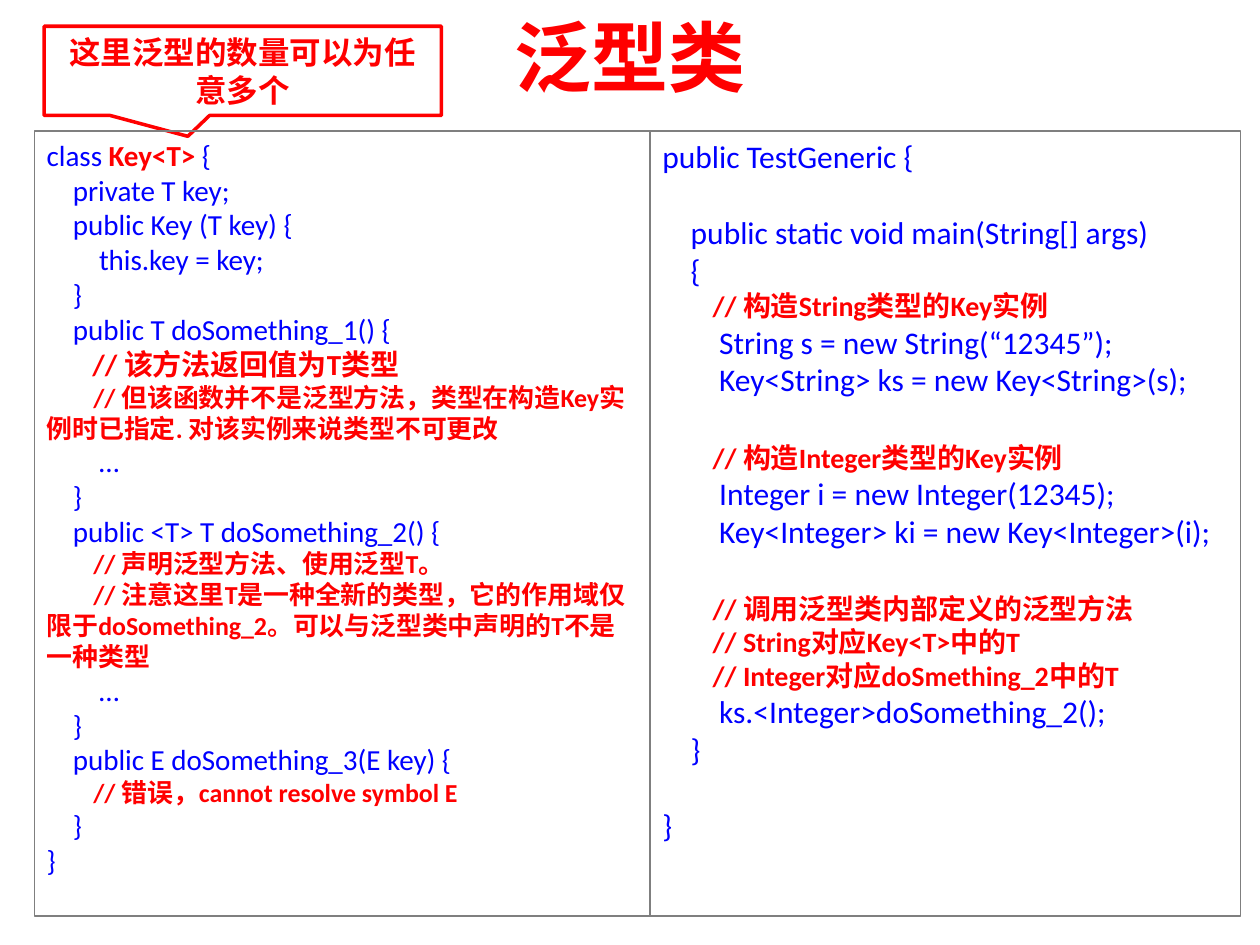
"""Build a slide on Java generic classes with two code panels and a callout."""
from pptx import Presentation
from pptx.dml.color import RGBColor
from pptx.enum.shapes import MSO_SHAPE as Shape
from pptx.enum.text import MSO_ANCHOR as Anchor, MSO_AUTO_SIZE as AutoSize, PP_ALIGN as Align
from pptx.util import Pt

COLORS = {"red": "FF0000", "blue": "0000FF", "gray": "7F7F7F", "white": "FFFFFF"}

KEY_CLASS = """\
class Key<T> {
    private T key;
    public Key (T key) {
        this.key = key;
    }
    public T doSomething_1() {
       // 该方法返回值为T类型
        // 但该函数并不是泛型方法，类型在构造Key实例时已指定. 对该实例来说类型不可更改
        …
    }
    public <T> T doSomething_2() {
        // 声明泛型方法、使用泛型T。
        // 注意这里T是一种全新的类型，它的作用域仅限于doSomething_2。可以与泛型类中声明的T不是一种类型
        …
    }
    public E doSomething_3(E key) {
        // 错误，cannot resolve symbol E
    }
}"""

TEST_CLASS = """\
public TestGeneric {

    public static void main(String[] args)
    {
        // 构造String类型的Key实例
        String s = new String(“12345”);
        Key<String> ks = new Key<String>(s);

        // 构造Integer类型的Key实例
        Integer i = new Integer(12345);
        Key<Integer> ki = new Key<Integer>(i);

        // 调用泛型类内部定义的泛型方法
        // String对应Key<T>中的T
        // Integer对应doSmething_2中的T
        ks.<Integer>doSomething_2();
    }

}"""


def color(name):
    return RGBColor.from_string(COLORS[name])


def write(para, text, size=18, tint="red", bold=True, font="Calibri"):
    span = para.add_run()
    span.text = text
    span.font.name = font
    span.font.size = Pt(size)
    span.font.bold = bold
    span.font.color.rgb = color(tint)


class SlideBuilder:
    def __init__(self, page):
        self.page = page

    def frame(self, shape, anchor):
        text_frame = shape.text_frame
        text_frame.word_wrap = True
        text_frame.auto_size = AutoSize.NONE
        text_frame.vertical_anchor = anchor
        return text_frame

    def title(self, text, left, top, width, height):
        box = self.page.shapes.title
        box.left, box.top, box.width, box.height = map(Pt, (left, top, width, height))
        para = self.frame(box, Anchor.MIDDLE).paragraphs[0]
        para.alignment = Align.CENTER
        write(para, text, size=44)

    def box(self, kind, bounds, line, weight, fill=None):
        box = self.page.shapes.add_shape(kind, *map(Pt, bounds))
        box.shadow.inherit = False
        box.line.color.rgb = color(line)
        box.line.width = Pt(weight)
        if fill:
            box.fill.solid()
            box.fill.fore_color.rgb = color(fill)
        else:
            box.fill.background()
        return box

    def callout(self, text, bounds, tip):
        box = self.box(Shape.RECTANGULAR_CALLOUT, bounds, "red", 2, "white")
        box.adjustments[0], box.adjustments[1] = tip
        para = self.frame(box, Anchor.MIDDLE).paragraphs[0]
        para.alignment = Align.CENTER
        write(para, text)

    def code(self, source, bounds, size, note_size, strong=()):
        box = self.box(Shape.RECTANGLE, bounds, "gray", 0.75)
        text_frame = self.frame(box, Anchor.TOP)
        para, gap = text_frame.paragraphs[0], False
        for number, line in enumerate(source.splitlines()):
            if not line:
                gap = True
                continue
            if number:
                para = text_frame.add_paragraph()
            para.alignment = Align.LEFT
            is_note = "//" in line
            if gap:
                para.space_before = Pt(24 if is_note else 22)
                gap = False
            mark = next((words for words in strong if words in line), None)
            if mark:
                before, mark, after = line.partition(mark)
                for text, bold in ((before, False), (mark, True), (after, False)):
                    if text:
                        write(para, text, size, "red" if bold else "blue", bold)
            elif is_note:
                write(para, line, note_size)
            else:
                write(para, line, size, "blue", False)


def main():
    deck = Presentation()
    deck.slide_width, deck.slide_height = Pt(720), Pt(540)
    builder = SlideBuilder(deck.slides.add_slide(deck.slide_layouts[5]))
    builder.title("泛型类", 36, 9.4, 648, 44.6)
    builder.callout("这里泛型的数量可以为任意多个", (25.2, 15, 227, 51), (-0.138, 0.734))
    left, top, middle, right, height = 19.6, 74.8, 371.4, 709, 448.6
    builder.code(TEST_CLASS, (middle, top, right - middle, height), 18, 16)
    builder.code(KEY_CLASS, (left, top, middle - left, height), 16.6, 14.8,
                 strong=("Key<T> ", "       // 该方法返回值为T类型"))
    deck.save("out.pptx")


if __name__ == "__main__":
    main()
